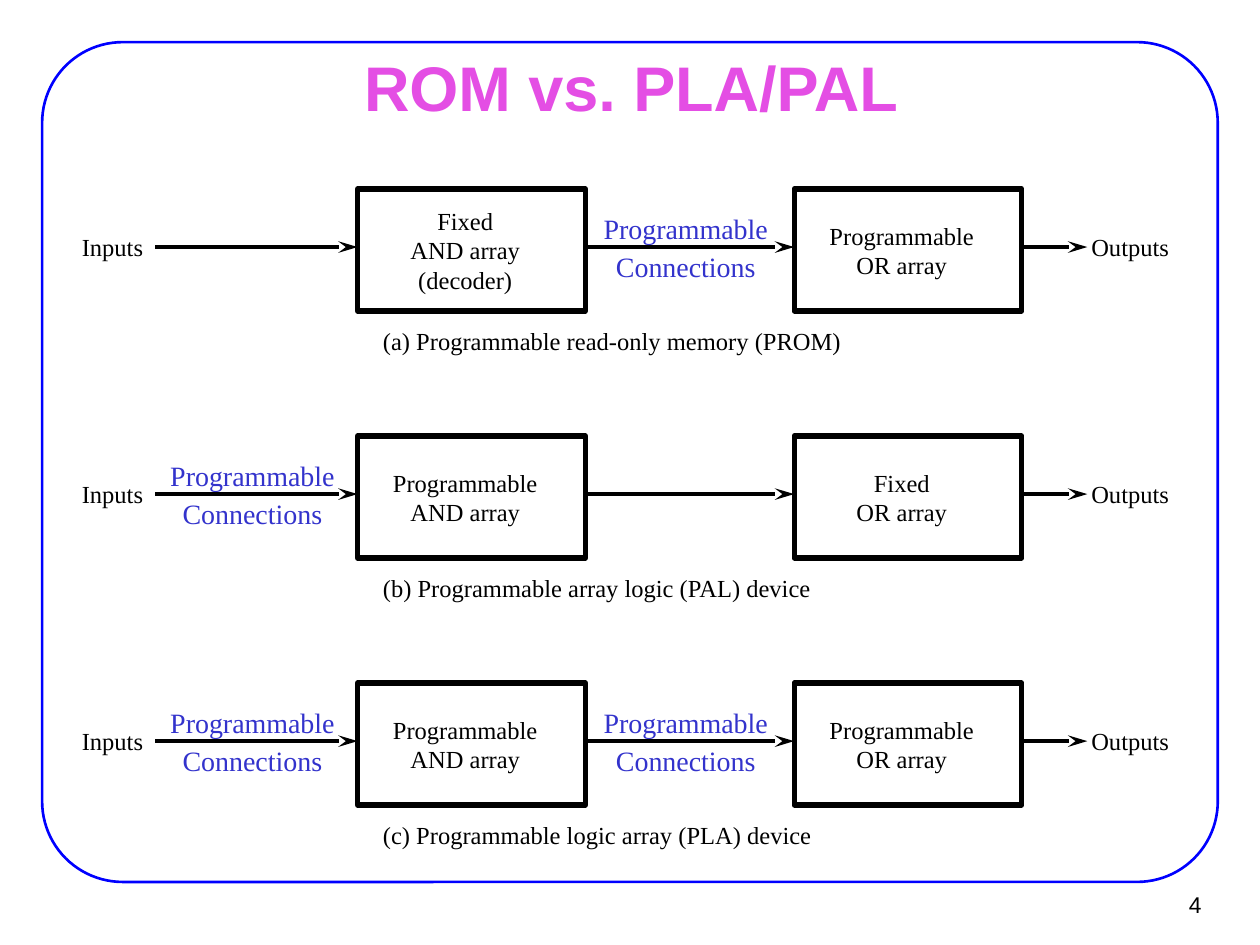
from lxml import etree
from pptx import Presentation
from pptx.dml.color import RGBColor
from pptx.enum.shapes import MSO_CONNECTOR, MSO_SHAPE
from pptx.enum.text import MSO_ANCHOR, PP_ALIGN
from pptx.oxml.ns import qn
from pptx.util import Cm, Pt

STRAIGHT = MSO_CONNECTOR.STRAIGHT
RECT, ROUND_RECT = MSO_SHAPE.RECTANGLE, MSO_SHAPE.ROUNDED_RECTANGLE
LEFT, CENTER, RIGHT = PP_ALIGN.LEFT, PP_ALIGN.CENTER, PP_ALIGN.RIGHT
TOP, MIDDLE = MSO_ANCHOR.TOP, MSO_ANCHOR.MIDDLE
SERIF, SANS = "Times New Roman", "Arial"
BLACK, BLUE, INDIGO, PINK = "000000", "0000FF", "3333CC", "E44EE4"

# Offsets within one diagram row, in cm
ROW_LEFT, FIRST_ROW_TOP, ROW_PITCH = 1.65, 3.81, 4.98
AND_X, OR_X, OUTPUTS_X, CAPTION_X = 5.56, 14.36, 20.35, 6.07
ARRAY_W, ARRAY_H = 4.59, 2.46
WIRE_Y, LABEL_Y, CONNECTIONS_Y, CAPTION_Y = 1.17, 0.86, 0.46, 2.76
INPUT_WIRE = (1.48, AND_X)
MIDDLE_WIRE = (AND_X + ARRAY_W, OR_X)
OUTPUT_WIRE = (OR_X + ARRAY_W, 20.27)
CONNECTIONS = "Programmable\nConnections"

# Caption, AND array, OR array, programmable wires
DEVICES = [
    ("(a) Programmable read-only memory (PROM)",
     "Fixed\nAND array\n(decoder)", "Programmable\nOR array", [MIDDLE_WIRE]),
    ("(b) Programmable array logic (PAL) device",
     "Programmable\nAND array", "Fixed\nOR array", [INPUT_WIRE]),
    ("(c) Programmable logic array (PLA) device",
     "Programmable\nAND array", "Programmable\nOR array",
     [INPUT_WIRE, MIDDLE_WIRE]),
]


def rgb(value):
    """Turn a hex string into a colour."""
    return RGBColor.from_string(value)


def write(shape, text, size, color=BLACK, font=SERIF, align=LEFT,
          anchor=TOP, margins=(0, 0, 0, 0), bold=False, gap=0):
    """Fill a shape with text and format it; gap is points between lines."""
    frame = shape.text_frame
    frame.text = text
    frame.word_wrap = True
    frame.vertical_anchor = anchor
    (frame.margin_left, frame.margin_top,
     frame.margin_right, frame.margin_bottom) = [Cm(m) for m in margins]
    for index, paragraph in enumerate(frame.paragraphs):
        paragraph.alignment = align
        paragraph.space_before = Pt(gap if index else 0)
        for run in paragraph.runs:
            run.font.name = font
            run.font.size = Pt(size)
            run.font.bold = bold
            run.font.color.rgb = rgb(color)


def add_label(slide, x, y, w, h, text, size=14, **style):
    """Add a text box at a place given in cm."""
    box = slide.shapes.add_textbox(Cm(x), Cm(y), Cm(w), Cm(h))
    write(box, text, size, **style)


def add_outline(slide, kind, x, y, w, h, color, weight):
    """Add an unfilled preset shape with a coloured outline."""
    shape = slide.shapes.add_shape(kind, Cm(x), Cm(y), Cm(w), Cm(h))
    shape.shadow.inherit = False
    shape.fill.background()
    shape.line.color.rgb = rgb(color)
    shape.line.width = Pt(weight)
    return shape


def add_array(slide, x, y, text):
    """Add an AND or OR array block."""
    block = add_outline(slide, RECT, x, y, ARRAY_W, ARRAY_H, BLACK, 3)
    write(block, text, 14, align=CENTER, anchor=MIDDLE,
          margins=(0, 0, 0.25, 0))


def add_wire(slide, start, end, y):
    """Add a horizontal arrow from start to end."""
    wire = slide.shapes.add_connector(STRAIGHT, Cm(start), Cm(y),
                                      Cm(end), Cm(y))
    wire.line.color.rgb = rgb(BLACK)
    wire.line.width = Pt(2.25)
    etree.SubElement(wire.line._get_or_add_ln(), qn("a:tailEnd"),
                     type="stealth", w="med", len="lg")
    etree.SubElement(wire._element.spPr, qn("a:effectLst"))


def add_device(slide, left, top, caption, and_text, or_text, programmable):
    """Draw one device row with its top left corner at the given place."""
    add_array(slide, left + AND_X, top, and_text)
    add_array(slide, left + OR_X, top, or_text)
    for start, end in (INPUT_WIRE, MIDDLE_WIRE, OUTPUT_WIRE):
        add_wire(slide, left + start, left + end, top + WIRE_Y)
    for start, end in programmable:
        add_label(slide, left + start - 0.08, top + CONNECTIONS_Y,
                  end - start, 1.42, CONNECTIONS, 16, color=INDIGO,
                  align=CENTER, gap=2.4)
    add_label(slide, left, top + LABEL_Y, 1.4, 0.58, "Inputs")
    add_label(slide, left + OUTPUTS_X, top + LABEL_Y, 1.75, 0.58, "Outputs")
    add_label(slide, left + CAPTION_X, top + CAPTION_Y, 10, 0.58, caption)


def add_heading(slide, x, y, w, h):
    """Place and format the title placeholder."""
    title = slide.shapes.title
    title.left, title.top, title.width, title.height = map(Cm, (x, y, w, h))
    write(title, "ROM vs. PLA/PAL", 36, color=PINK, font=SANS, bold=True,
          align=CENTER, anchor=MIDDLE, margins=(0.28, 0.15, 0.28, 0.15))


def add_frame(slide, x, y, w, h):
    """Draw the rounded page frame and the page number below it."""
    border = add_outline(slide, ROUND_RECT, x, y, w, h, BLUE, 1.5)
    border.adjustments[0] = 0.096
    add_label(slide, x + w - 1.9, y + h, 1.8, 0.9, "4", 13, font=SANS,
              align=RIGHT, anchor=MIDDLE, margins=(0.23, 0.1, 0.23, 0.1))


def build():
    """Build the slide and save it."""
    deck = Presentation()
    deck.slide_width, deck.slide_height = Cm(25.4), Cm(19.05)
    slide = deck.slides.add_slide(deck.slide_layouts[5])
    add_frame(slide, 0.85, 0.85, 23.7, 16.93)
    add_heading(slide, 1.93, 1.12, 21.59, 1.24)
    for row, device in enumerate(DEVICES):
        add_device(slide, ROW_LEFT, FIRST_ROW_TOP + row * ROW_PITCH, *device)
    deck.save("out.pptx")


build()
